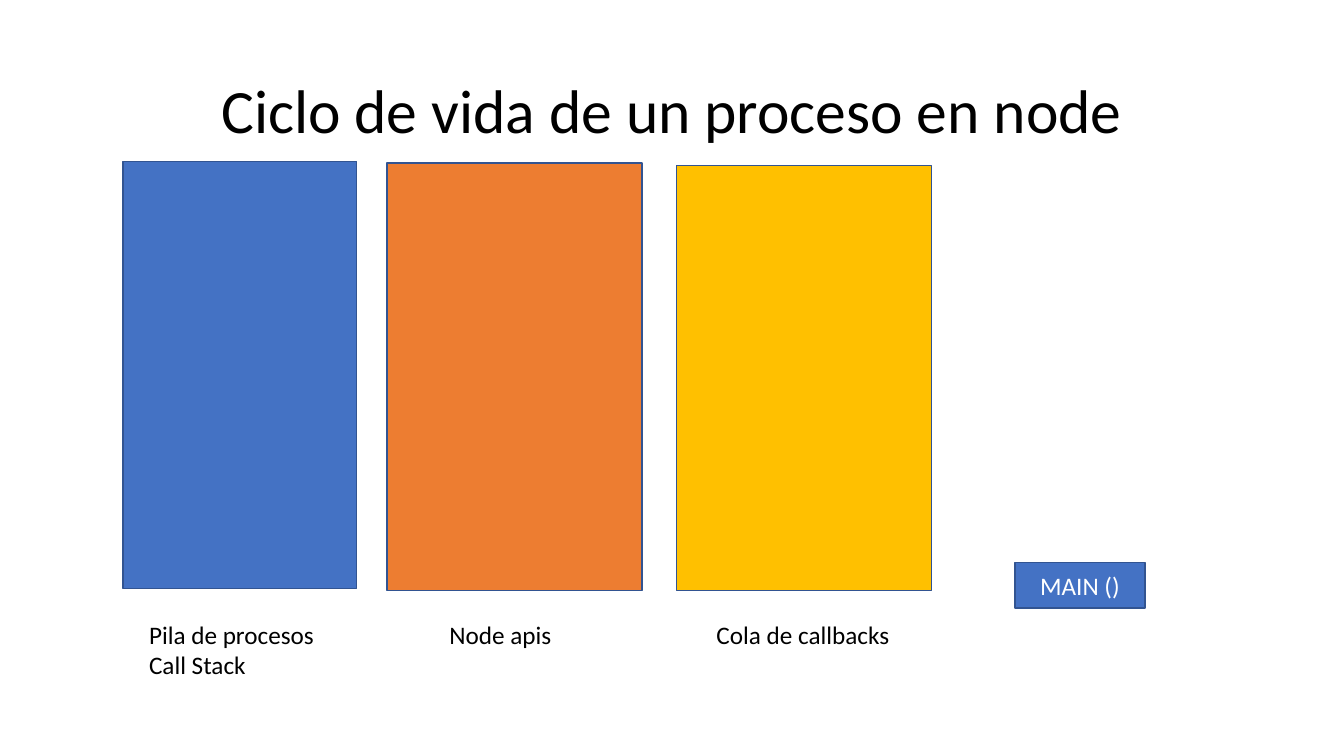
from dataclasses import dataclass

from pptx import Presentation
from pptx.dml.color import RGBColor
from pptx.enum.shapes import MSO_SHAPE
from pptx.enum.text import MSO_ANCHOR, PP_ALIGN
from pptx.slide import Slide
from pptx.util import Pt

RECTANGLE = MSO_SHAPE.RECTANGLE
TOP, MIDDLE = MSO_ANCHOR.TOP, MSO_ANCHOR.MIDDLE
LEFT, CENTER = PP_ALIGN.LEFT, PP_ALIGN.CENTER

FONT = "Calibri"
COLORS = {
    "blue": "4472C4",
    "orange": "ED7D31",
    "gold": "FFC000",
    "outline": "325491",
    "black": "000000",
    "white": "FFFFFF",
}


@dataclass
class Block:
    x: float
    y: float
    w: float
    h: float
    fill: str
    text: str = ""


@dataclass
class Label:
    x: float
    y: float
    w: float
    h: float
    lines: tuple[str, ...]
    size: float = 18
    align: PP_ALIGN = LEFT
    anchor: MSO_ANCHOR = TOP
    spacing: float = 1.0
    wrap: bool = False


BLOCKS = [
    Block(87.8, 115.2, 167, 305.3, "blue"),
    Block(276.5, 116.6, 182.2, 305.3, "orange"),
    Block(483.1, 118.1, 182.2, 303.8, "gold"),
    Block(725, 401.8, 92.9, 32.4, "blue", "MAIN ()"),
]

LABEL_Y = 438.5
LABELS = [
    Label(66.2, 28.8, 828, 104.4, ("Ciclo de vida de un proceso en node",),
          44, CENTER, MIDDLE, 0.9, True),
    Label(99.4, LABEL_Y, 133.9, 51.1, ("Pila de procesos", "Call Stack")),
    Label(313.9, LABEL_Y, 88.6, 28.8, ("Node apis",)),
    Label(504.7, LABEL_Y, 139.7, 28.8, ("Cola de callbacks",)),
]


def rgb(name: str) -> RGBColor:
    return RGBColor.from_string(COLORS[name])


def write(p, text: str, size: float, color: str, align: PP_ALIGN) -> None:
    p.alignment = align
    r = p.add_run()
    r.text = text
    r.font.name = FONT
    r.font.size = Pt(size)
    r.font.color.rgb = rgb(color)


def draw_block(s: Slide, block: Block) -> None:
    sp = s.shapes.add_shape(
        RECTANGLE, Pt(block.x), Pt(block.y), Pt(block.w), Pt(block.h))
    sp.shadow.inherit = False
    sp.fill.solid()
    sp.fill.fore_color.rgb = rgb(block.fill)
    sp.line.color.rgb = rgb("outline")
    sp.line.width = Pt(1)
    if block.text:
        tf = sp.text_frame
        tf.vertical_anchor = MIDDLE
        write(tf.paragraphs[0], block.text, 18, "white", CENTER)


def draw_label(s: Slide, label: Label) -> None:
    sp = s.shapes.add_textbox(
        Pt(label.x), Pt(label.y), Pt(label.w), Pt(label.h))
    tf = sp.text_frame
    tf.word_wrap = label.wrap
    tf.vertical_anchor = label.anchor
    for i, line in enumerate(label.lines):
        p = tf.add_paragraph() if i else tf.paragraphs[0]
        p.line_spacing = label.spacing
        write(p, line, label.size, "black", label.align)


def main() -> None:
    prs = Presentation()
    prs.slide_width, prs.slide_height = Pt(960), Pt(540)
    s = prs.slides.add_slide(prs.slide_layouts[6])
    for block in BLOCKS:
        draw_block(s, block)
    for label in LABELS:
        draw_label(s, label)
    prs.save("out.pptx")


if __name__ == "__main__":
    main()
